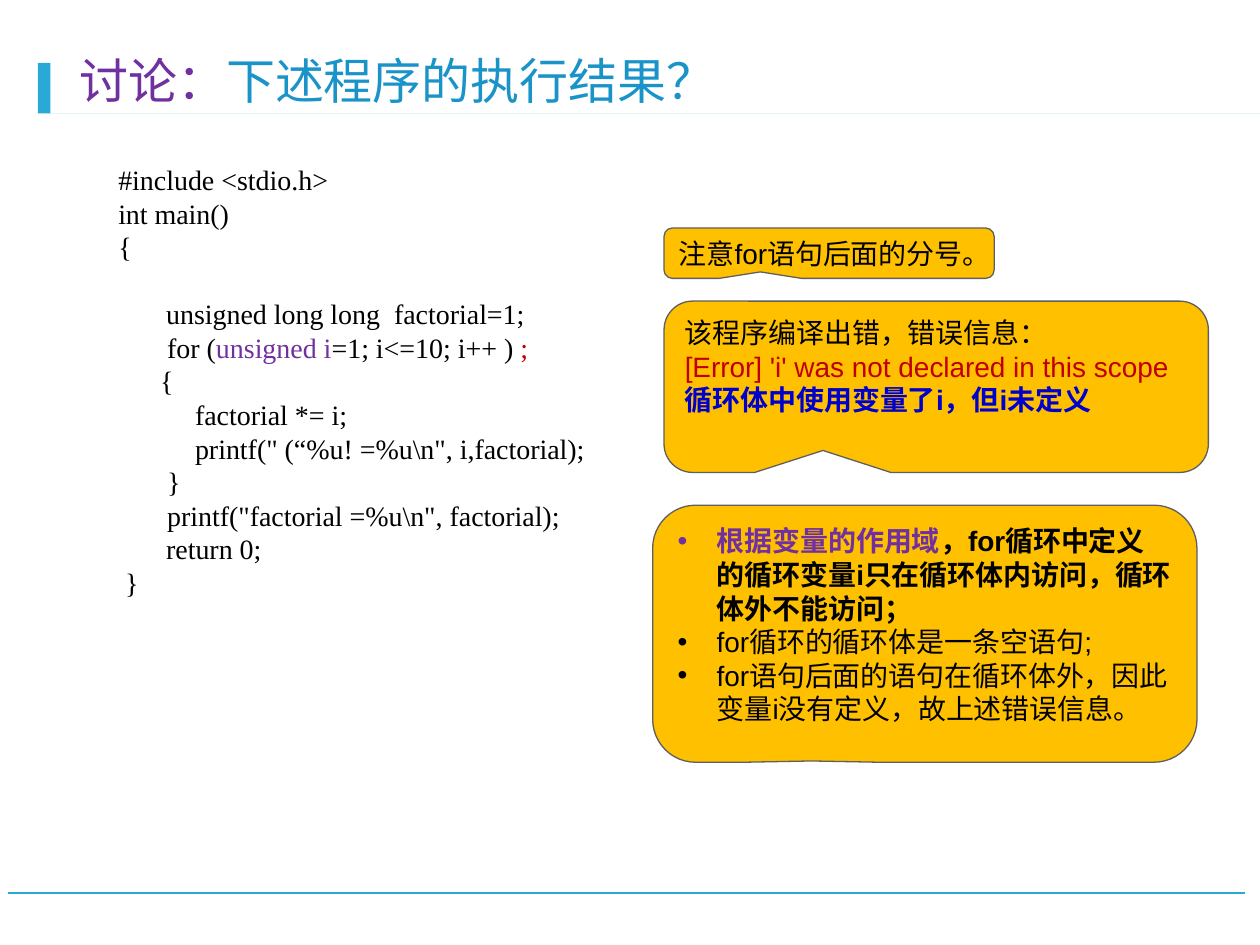
from dataclasses import dataclass

from lxml import etree
from pptx import Presentation
from pptx import util as u
from pptx.dml.color import RGBColor
from pptx.enum import shapes, text
from pptx.oxml.ns import qn


@dataclass(frozen=True)
class Theme:
    """Colours, fonts and sizes of the slide."""
    accent: str = "28A9D6"
    title: str = "1A93C8"
    purple: str = "7030A0"
    ink: str = "000000"
    red: str = "C00000"
    blue: str = "0000CC"
    panel: str = "FFC000"
    edge: str = "5F5F5F"
    serif: str = "Times New Roman"
    sans: str = "Arial"
    title_size: float = 28
    body_size: float = 16
    leading: float = 19.2


class SlideBuilder:
    """Places elements on one page with a grid of 100 columns by 75 rows."""

    def __init__(self, deck, theme):
        """Add a title-only page to the deck."""
        self.theme = theme
        self.page = deck.slides.add_slide(deck.slide_layouts[5])
        self.col = deck.slide_width / 100
        self.row = deck.slide_height / 75

    def area(self, left, top, width, height):
        """Turn grid cells into slide lengths."""
        return (round(left * self.col), round(top * self.row),
                round(width * self.col), round(height * self.row))

    def add_spans(self, para, spans, font, size):
        """Add (text, colour, bold) runs to a paragraph."""
        for words, color, *bold in spans:
            span = para.add_run()
            span.text = words
            span.font.name = font
            span.font.size = u.Pt(size)
            span.font.bold = bool(bold)
            span.font.color.rgb = RGBColor.from_string(color)

    def add_paragraphs(self, frame, lines, font, margin=0.0, hang=0.0, bullet=None):
        """Fill a frame with lines that share one indent and line pitch."""
        frame.word_wrap = True
        frame.vertical_anchor = text.MSO_ANCHOR.TOP
        for index, spans in enumerate(lines):
            para = frame.paragraphs[0] if index == 0 else frame.add_paragraph()
            para.alignment = text.PP_ALIGN.LEFT
            para.line_spacing = u.Pt(self.theme.leading)
            props = para._p.get_or_add_pPr()
            props.set("marL", str(u.Inches(margin)))
            props.set("indent", str(u.Inches(-hang)))
            if bullet:
                etree.SubElement(props, qn("a:buFont")).set("typeface", font)
                etree.SubElement(props, qn("a:buChar")).set("char", bullet)
            self.add_spans(para, spans, font, self.theme.body_size)

    def title(self, cells, spans):
        """Move and fill the title placeholder."""
        box = self.page.shapes.title
        box.left, box.top, box.width, box.height = self.area(*cells)
        frame = box.text_frame
        frame.word_wrap = True
        frame.vertical_anchor = text.MSO_ANCHOR.BOTTOM
        para = frame.paragraphs[0]
        para.alignment = text.PP_ALIGN.LEFT
        para.line_spacing = 0.9
        self.add_spans(para, spans, self.theme.serif, self.theme.title_size)

    def rule(self, left, right, row):
        """Draw a horizontal accent line."""
        x, y, width, _ = self.area(left, row, right - left, 0)
        line = self.page.shapes.add_connector(
            shapes.MSO_CONNECTOR.STRAIGHT, x, y, x + width, y)
        line.line.color.rgb = RGBColor.from_string(self.theme.accent)
        line.line.width = u.Pt(1.25)
        etree.SubElement(line._element.spPr, qn("a:effectLst"))

    def outline(self, points):
        """Draw a filled accent outline through grid points."""
        start, *rest = points
        builder = self.page.shapes.build_freeform(*start, scale=(self.col, self.row))
        builder.add_line_segments(rest, close=True)
        shape = builder.convert_to_shape()
        shape.shadow.inherit = False
        shape.fill.solid()
        shape.fill.fore_color.rgb = RGBColor.from_string(self.theme.accent)
        shape.line.fill.background()

    def code(self, cells, lines, gap_before):
        """Add a program listing with a gap before one of its lines."""
        frame = self.page.shapes.add_textbox(*self.area(*cells)).text_frame
        self.add_paragraphs(frame, lines, self.theme.serif, 0.69, 0.38)
        frame.paragraphs[gap_before].space_before = u.Pt(self.theme.leading)

    def callout(self, cells, lines, tip=0.372, **indent):
        """Add a rounded callout with left-aligned text."""
        box = self.page.shapes.add_shape(
            shapes.MSO_SHAPE.ROUNDED_RECTANGULAR_CALLOUT, *self.area(*cells))
        for index, value in enumerate((-0.208, tip, 0.167)):
            box.adjustments[index] = value
        box.shadow.inherit = False
        box.fill.solid()
        box.fill.fore_color.rgb = RGBColor.from_string(self.theme.panel)
        box.line.color.rgb = RGBColor.from_string(self.theme.edge)
        box.line.width = u.Pt(0.75)
        self.add_paragraphs(box.text_frame, lines, self.theme.sans, **indent)


def main():
    """Build and save the discussion slide."""
    deck = Presentation()
    deck.slide_width, deck.slide_height = u.Inches(10), u.Inches(7.5)
    theme = Theme()
    ink = theme.ink
    slide = SlideBuilder(deck, theme)

    slide.rule(0.6, 98.8, 70.9)
    slide.outline([
        (4.1, 4.6), (4.1, 9.2), (14, 9.2), (100.9, 9.4), (3.9, 9.4), (3.9, 4.8),
        (3.6, 4.8), (3.6, 9.4), (2.7, 9.4), (2.7, 4.6), (3, 4.6), (3, 9.1),
        (3.3, 9.1), (3.3, 4.6)])
    slide.title((5.3, 2.8, 88.5, 6.4), [
        ("讨论：", theme.purple), ("下述程序的执行结果？", theme.title)])

    slide.code((5.3, 12.4, 44.8, 58.5), [
        [("#include <stdio.h>", ink)],
        [("int main()", ink)],
        [("{", ink)],
        [("\tunsigned long long  factorial=1;", ink)],
        [("       for (", ink), ("unsigned i", theme.purple),
         ("=1; i<=10; i++ ) ", ink), (";", theme.red)],
        [("      {", ink)],
        [("           factorial *= i;", ink)],
        [("           printf(\" (“%u! =%u\\n\", i,factorial);", ink)],
        [("       }", ink)],
        [("       printf(\"factorial =%u\\n\", factorial);", ink)],
        [("\treturn 0;", ink)],
        [(" }", ink)],
    ], gap_before=3)

    slide.callout((52.7, 18.1, 26.2, 4), [[("注意for语句后面的分号。", ink)]])
    slide.callout((52.7, 23.9, 43.2, 13.6), [
        [("该程序编译出错，错误信息：", ink)],
        [("[Error] 'i' was not declared in this scope", theme.red)],
        [("循环体中使用变量了i，但i未定义", theme.blue, True)],
    ])
    slide.callout((51.8, 40.1, 43.2, 20.4), [
        [("根据变量的作用域", theme.purple, True),
         ("，for循环中定义的循环变量i只在循环体内访问，循环体外不能访问；", ink, True)],
        [("for循环的循环体是一条空语句;", ink)],
        [("for语句后面的语句在循环体外，因此变量i没有定义，故上述错误信息。", ink)],
    ], tip=0.495, margin=0.31, hang=0.31, bullet="•")

    deck.save("out.pptx")


if __name__ == "__main__":
    main()
